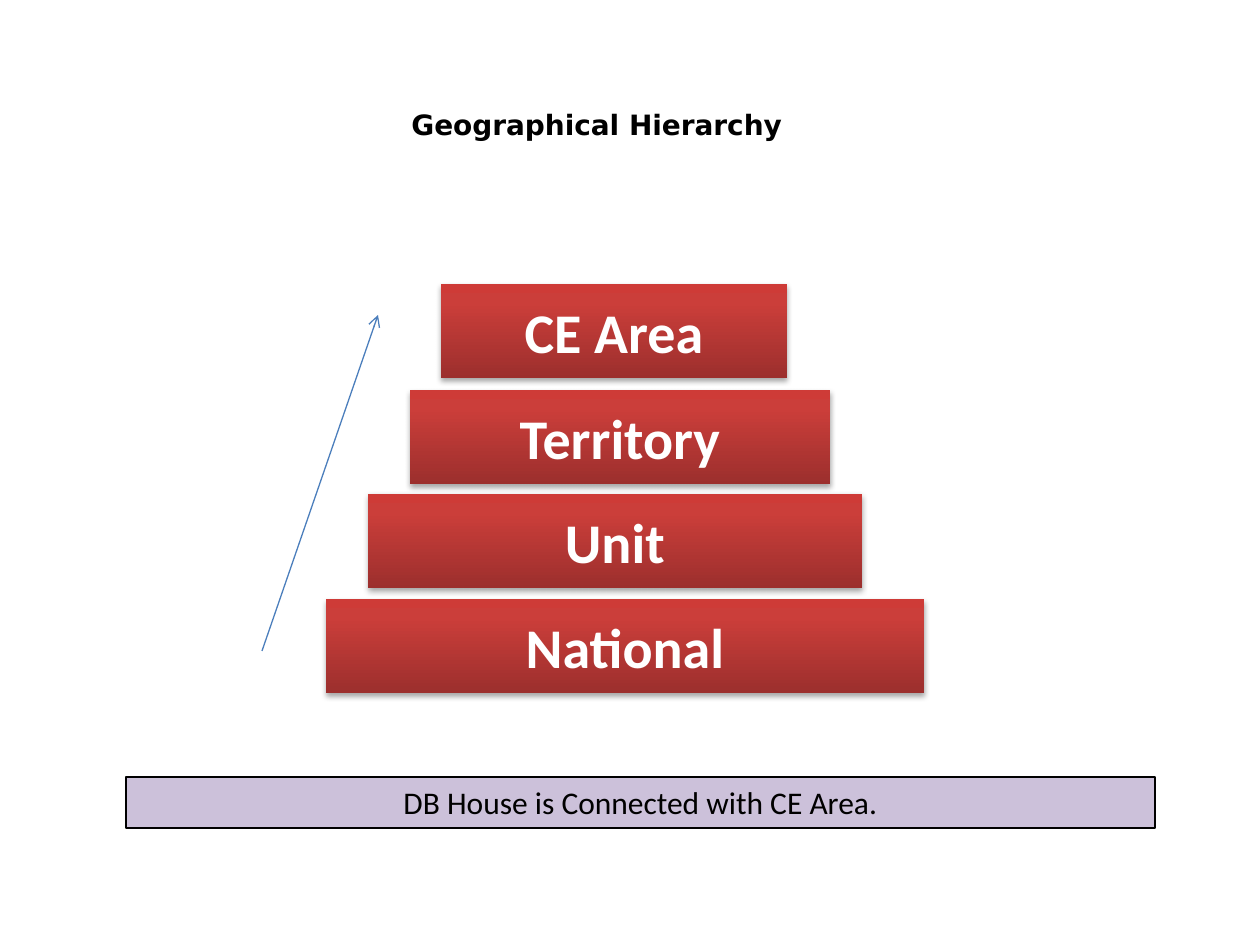
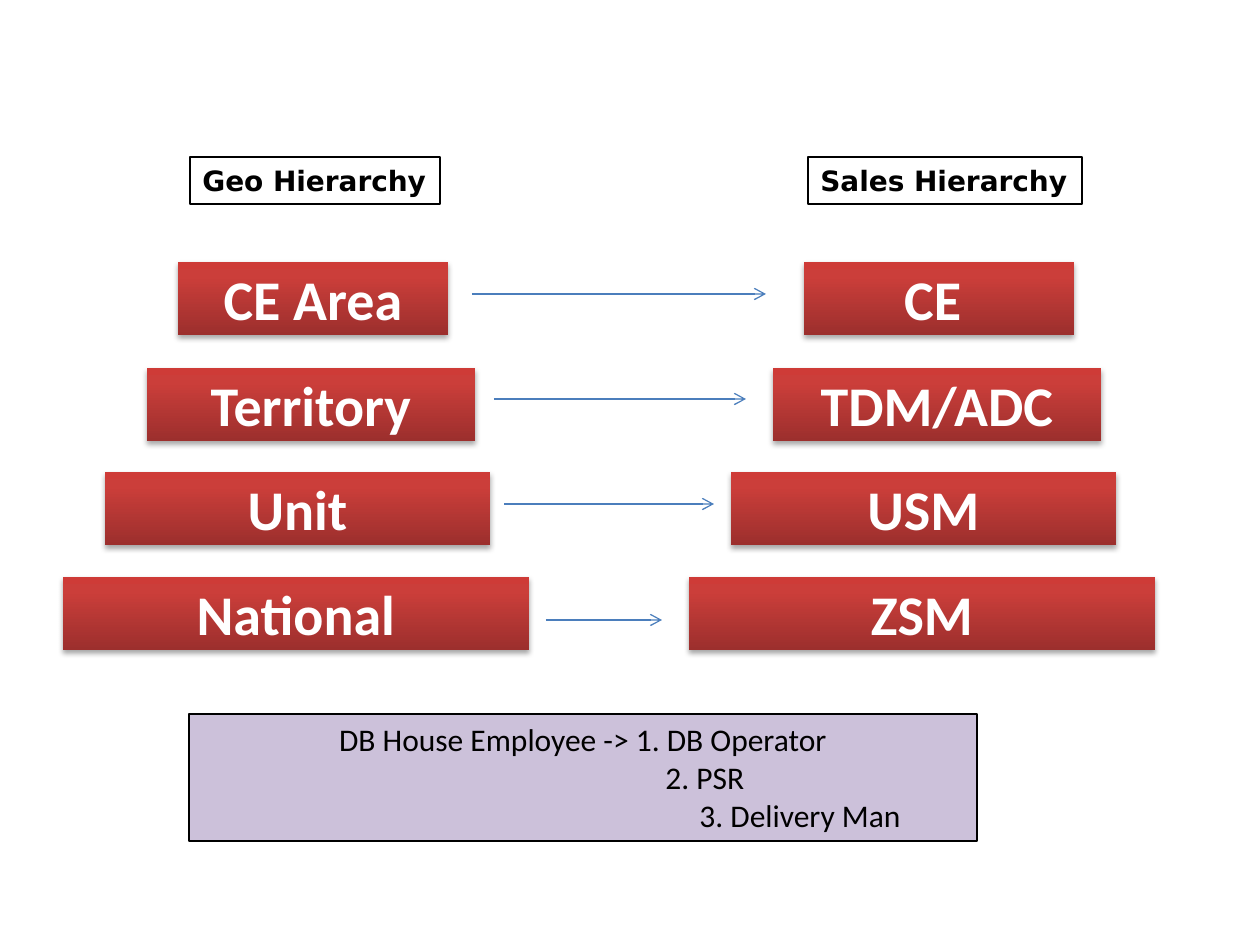
from dataclasses import dataclass

from pptx import Presentation
from pptx.dml.color import RGBColor
from pptx.enum.shapes import MSO_CONNECTOR, MSO_SHAPE
from pptx.enum.text import MSO_ANCHOR, MSO_AUTO_SIZE, PP_ALIGN
from pptx.oxml import parse_xml
from pptx.oxml.ns import nsdecls, qn
from pptx.util import Emu, Pt

PX_PER_INCH = 126


@dataclass(frozen=True)
class Theme:
    heading_font: str = "DejaVu Sans"
    body_font: str = "Calibri"
    heading_size: int = 16
    tier_size: int = 32
    note_size: int = 18
    line_width: float = 0.75
    ink: str = "000000"
    tier_text: str = "FFFFFF"
    note_fill: str = "CCC1DA"
    arrow: str = "4B7EBC"
    tier_gradient: tuple = ((0, "9C2F2D"), (80, "CB3E3A"), (100, "CE3B37"))


THEME = Theme()

# left, top and width of each tier, from the peak to the base
TIERS = [(441, 284, 346), (410, 390, 420), (368, 494, 494), (326, 599, 598)]
GEO_LABELS = ["CE Area", "Territory", "Unit", "National"]
SALES_LABELS = ["CE ", "TDM/ADC", "USM", "ZSM"]
# start, end and height of the arrow beside each tier
TIER_ARROWS = [(472, 766, 294), (494, 746, 399), (504, 714, 504), (546, 662, 620)]


def px(length):
    return Emu(round(length * 914400 / PX_PER_INCH))


def box(left, top, width, height):
    return px(left), px(top), px(width), px(height)


def add_run(paragraph, text, font, size, color, bold=False):
    run = paragraph.add_run()
    run.text = text
    run.font.name = font
    run.font.size = Pt(size)
    run.font.bold = bold
    run.font.color.rgb = RGBColor.from_string(color)


def set_line(shape, color):
    shape.line.color.rgb = RGBColor.from_string(color)
    shape.line.width = Pt(THEME.line_width)


def add_heading(slide, text, left, top, width, framed=False):
    shape = slide.shapes.add_textbox(*box(left, top, width, 47))
    if framed:
        set_line(shape, THEME.ink)
    frame = shape.text_frame
    frame.word_wrap = False
    frame.auto_size = MSO_AUTO_SIZE.SHAPE_TO_FIT_TEXT
    add_run(frame.paragraphs[0], text, THEME.heading_font, THEME.heading_size,
            THEME.ink, bold=True)


def style_tier(shape):
    """Give the shape the red gradient and a soft shadow below it."""
    shape.line.fill.background()
    shape.fill.background()
    shape.shadow.inherit = False
    properties = shape._element.spPr
    stops = "".join(
        f'<a:gs pos="{position * 1000}"><a:srgbClr val="{color}"/></a:gs>'
        for position, color in THEME.tier_gradient)
    gradient = parse_xml(
        f'<a:gradFill {nsdecls("a")} rotWithShape="1"><a:gsLst>{stops}</a:gsLst>'
        '<a:lin ang="16200000" scaled="0"/></a:gradFill>')
    properties.replace(properties.find(qn("a:noFill")), gradient)
    properties.find(qn("a:effectLst")).append(parse_xml(
        f'<a:outerShdw {nsdecls("a")} blurRad="40000" dist="23000" dir="5400000" '
        f'rotWithShape="0"><a:srgbClr val="{THEME.ink}"><a:alpha val="35000"/>'
        '</a:srgbClr></a:outerShdw>'))


def add_tier(slide, text, left, top, width, height):
    shape = slide.shapes.add_shape(MSO_SHAPE.RECTANGLE, *box(left, top, width, height))
    style_tier(shape)
    frame = shape.text_frame
    frame.word_wrap = True
    frame.vertical_anchor = MSO_ANCHOR.MIDDLE
    paragraph = frame.paragraphs[0]
    paragraph.alignment = PP_ALIGN.CENTER
    add_run(paragraph, text, THEME.body_font, THEME.tier_size, THEME.tier_text, bold=True)


def add_pyramid(slide, labels, height, shift_x=0, shift_y=0, width_scale=1):
    for label, (left, top, width) in reversed(list(zip(labels, TIERS))):
        add_tier(slide, label, left + shift_x, top + shift_y,
                 round(width * width_scale), height)


def add_arrow(slide, start_x, start_y, end_x, end_y):
    connector = slide.shapes.add_connector(
        MSO_CONNECTOR.STRAIGHT, px(start_x), px(start_y), px(end_x), px(end_y))
    set_line(connector, THEME.arrow)
    connector.line._get_or_add_ln().append(
        parse_xml(f'<a:tailEnd {nsdecls("a")} type="arrow"/>'))
    connector._element.spPr.append(parse_xml(f'<a:effectLst {nsdecls("a")}/>'))


def add_note(slide, lines, left, top, width, height):
    """Add a lilac box; each line is a text and its indent, or None to centre it."""
    shape = slide.shapes.add_textbox(*box(left, top, width, height))
    shape.fill.solid()
    shape.fill.fore_color.rgb = RGBColor.from_string(THEME.note_fill)
    set_line(shape, THEME.ink)
    frame = shape.text_frame
    frame.word_wrap = True
    frame.auto_size = MSO_AUTO_SIZE.SHAPE_TO_FIT_TEXT
    for index, (text, indent) in enumerate(lines):
        paragraph = frame.add_paragraph() if index else frame.paragraphs[0]
        if indent is None:
            paragraph.alignment = PP_ALIGN.CENTER
        else:
            paragraph.alignment = PP_ALIGN.LEFT
            paragraph._p.get_or_add_pPr().set("marL", str(px(indent)))
        add_run(paragraph, text, THEME.body_font, THEME.note_size, THEME.ink)


def build_geographical_hierarchy(slide):
    add_heading(slide, "Geographical Hierarchy", 399, 101, 398)
    add_pyramid(slide, GEO_LABELS, height=94)
    add_arrow(slide, 262, 651, 378, 315)
    add_note(slide, [("DB House is Connected with CE Area.", None)], 126, 777, 1029, 51)


def build_geo_to_sales(slide):
    add_heading(slide, "Geo Hierarchy", 190, 157, 250, framed=True)
    add_heading(slide, "Sales Hierarchy", 808, 157, 274, framed=True)
    for labels, shift_x in ((GEO_LABELS, -263), (SALES_LABELS, 363)):
        add_pyramid(slide, labels, 73, shift_x, shift_y=-22, width_scale=0.78)
    for start, end, height in TIER_ARROWS:
        add_arrow(slide, start, height, end, height)
    add_note(slide, [("DB House Employee -> 1. DB Operator", None),
                     ("2. PSR", 464),
                     ("3. Delivery Man", 498)], 189, 714, 788, 127)


def main():
    presentation = Presentation()
    presentation.slide_width, presentation.slide_height = px(1260), px(945)
    blank = presentation.slide_layouts[6]
    for build in (build_geographical_hierarchy, build_geo_to_sales):
        build(presentation.slides.add_slide(blank))
    presentation.save("out.pptx")


if __name__ == "__main__":
    main()
